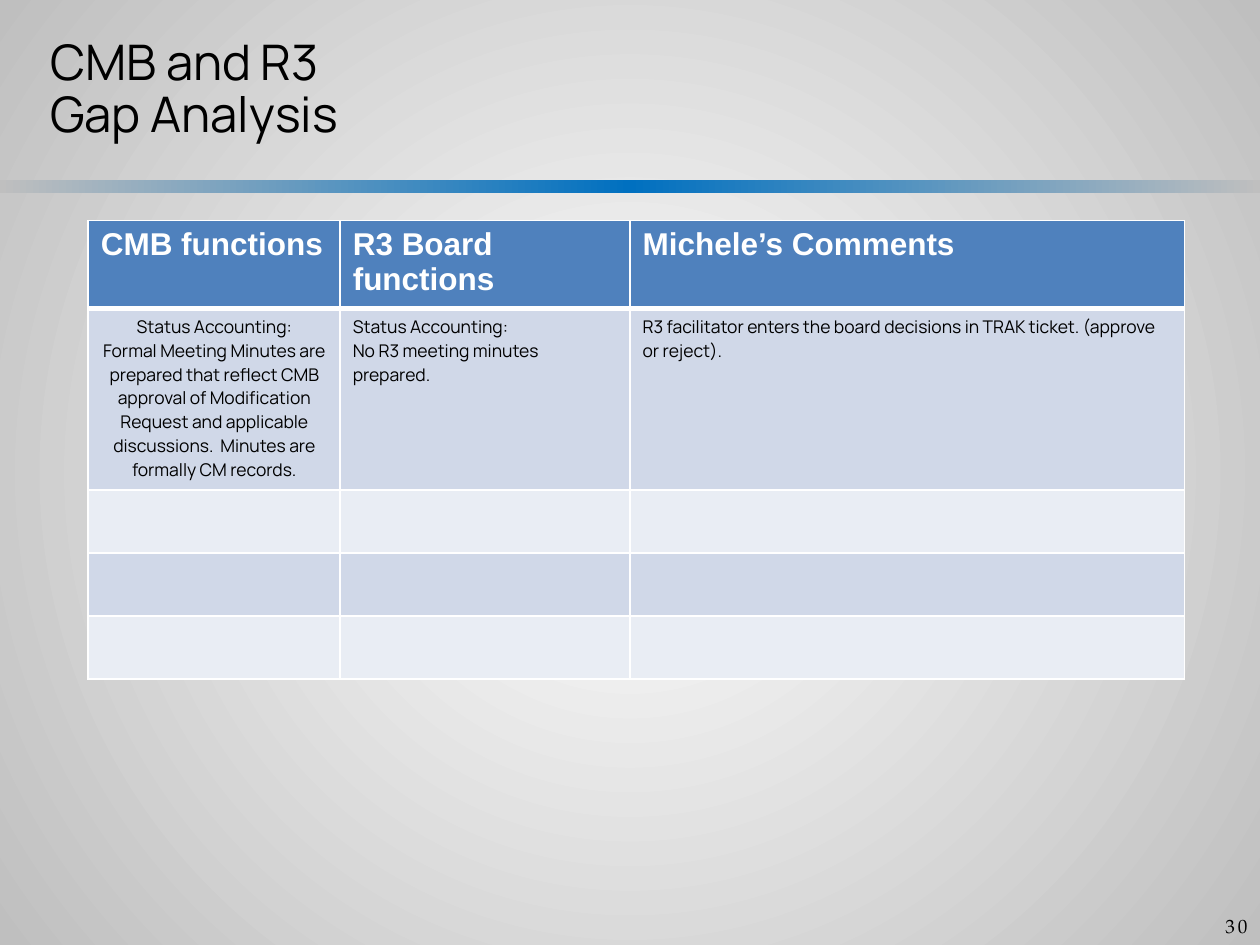
from lxml import etree
from pptx import Presentation, util as u
from pptx.dml.color import RGBColor
from pptx.enum import shapes, text
from pptx.oxml import parse_xml
from pptx.oxml.ns import nsdecls, qn

COLORS = {"black": "000000", "white": "FFFFFF", "gray": "BFBFBF", "bar": "0070C0",
          "header": "4F81BD", "odd": "D0D8E8", "even": "E9EDF4"}
LEFT, CENTER, RIGHT = text.PP_ALIGN.LEFT, text.PP_ALIGN.CENTER, text.PP_ALIGN.RIGHT
RADIAL = ('<a:path path="circle"><a:fillToRect l="50000" t="50000" '
          'r="50000" b="50000"/></a:path>')
LINEAR = '<a:lin ang="0" scaled="0"/>'


class Deck:
    """Holds the style and the current slide, and draws each kind of element."""

    def __init__(self, prs):
        self.slide = prs.slides.add_slide(prs.slide_layouts[6])

    def gradient(self, fill, parent, stops, direction):
        fill.solid()
        gs = "".join(f'<a:gs pos="{pos * 1000}"><a:srgbClr val="{COLORS[c]}"/></a:gs>'
                     for pos, c in stops)
        grad = parse_xml(f'<a:gradFill {nsdecls("a")} rotWithShape="1">'
                         f'<a:gsLst>{gs}</a:gsLst>{direction}</a:gradFill>')
        parent.replace(parent.find(qn("a:solidFill")), grad)

    def background(self, stops):
        fill = self.slide.background.fill
        bg = self.slide.element.find(".//" + qn("p:bgPr"))
        self.gradient(fill, bg, stops, RADIAL)

    def bar(self, box, stops):
        sp = self.slide.shapes.add_shape(shapes.MSO_SHAPE.RECTANGLE, *map(u.Inches, box))
        sp.shadow.inherit = False
        sp.line.fill.background()
        self.gradient(sp.fill, sp.element.spPr, stops, LINEAR)

    def put_text(self, tf, lines, size, font, color="black", bold=False, align=LEFT,
                 line_spacing=None, tracking=None):
        tf.word_wrap = True
        tf.text = "\n".join(lines)
        for p in tf.paragraphs:
            p.alignment = align
            p.line_spacing = line_spacing
            for r in p.runs:
                r.font.size = u.Pt(size)
                r.font.name = font
                r.font.bold = bold
                r.font.color.rgb = RGBColor.from_string(COLORS[color])
                if tracking:
                    r._r.get_or_add_rPr().set("spc", str(tracking))

    def textbox(self, box, lines, size, font, **style):
        sp = self.slide.shapes.add_textbox(*map(u.Inches, box))
        self.put_text(sp.text_frame, lines, size, font, **style)

    def border(self, cell, bottom):
        tcPr = cell._tc.get_or_add_tcPr()
        for i, (side, width) in enumerate(zip("LRTB", (1, 1, 1, bottom))):
            ln = etree.Element(qn(f"a:ln{side}"), w=str(u.Pt(width)))
            fill = etree.SubElement(ln, qn("a:solidFill"))
            etree.SubElement(fill, qn("a:srgbClr"), val=COLORS["white"])
            tcPr.insert(i, ln)

    def table(self, left, top, widths, heights, header, body):
        frame = self.slide.shapes.add_table(
            len(heights), len(widths), u.Inches(left), u.Inches(top),
            u.Inches(sum(widths)), u.Inches(sum(heights)))
        table = frame.table
        for column, width in zip(table.columns, widths):
            column.width = u.Inches(width)
        for i, (row, height) in enumerate(zip(table.rows, heights)):
            row.height = u.Inches(height)
            band = "header" if i == 0 else "odd" if i % 2 else "even"
            for cell in row.cells:
                cell.fill.solid()
                cell.fill.fore_color.rgb = RGBColor.from_string(COLORS[band])
                self.border(cell, 3 if i == 0 else 1)
        for j, (title, lines) in enumerate(zip(header, body)):
            self.put_text(table.cell(0, j).text_frame, [title], 18, "Arial",
                          color="white", bold=True)
            self.put_text(table.cell(1, j).text_frame, lines, 10, "Manrope",
                          align=LEFT if j else CENTER)


prs = Presentation()
prs.slide_width, prs.slide_height = u.Inches(10), u.Inches(7.5)
s = Deck(prs)
s.background([(0, "white"), (100, "gray")])
s.bar((0, 1.43, 10, 0.1), [(0, "gray"), (50, "bar"), (100, "gray")])
s.textbox((9.17, 7.21, 0.83, 0.29), ["30"], 11, "TeX Gyre Pagella",
          align=RIGHT, tracking=170)
s.textbox((0.3, 0.25, 6.4, 1.35), ["CMB and R3", "Gap Analysis"], 28, "Manrope",
          line_spacing=0.9)
s.table(0.7, 1.75, (2, 2.3, 4.4), (0.7, 1.44, 0.5, 0.5, 0.5),
        ["CMB functions", "R3 Board functions", "Michele’s Comments"],
        [["Status Accounting:",
          "Formal Meeting Minutes are prepared that reflect CMB approval of Modification "
          "Request and applicable discussions.  Minutes are formally CM records."],
         ["Status Accounting:", "No R3 meeting minutes prepared."],
         ["R3 facilitator enters the board decisions in TRAK ticket. (approve or reject)."]])
prs.save("out.pptx")
